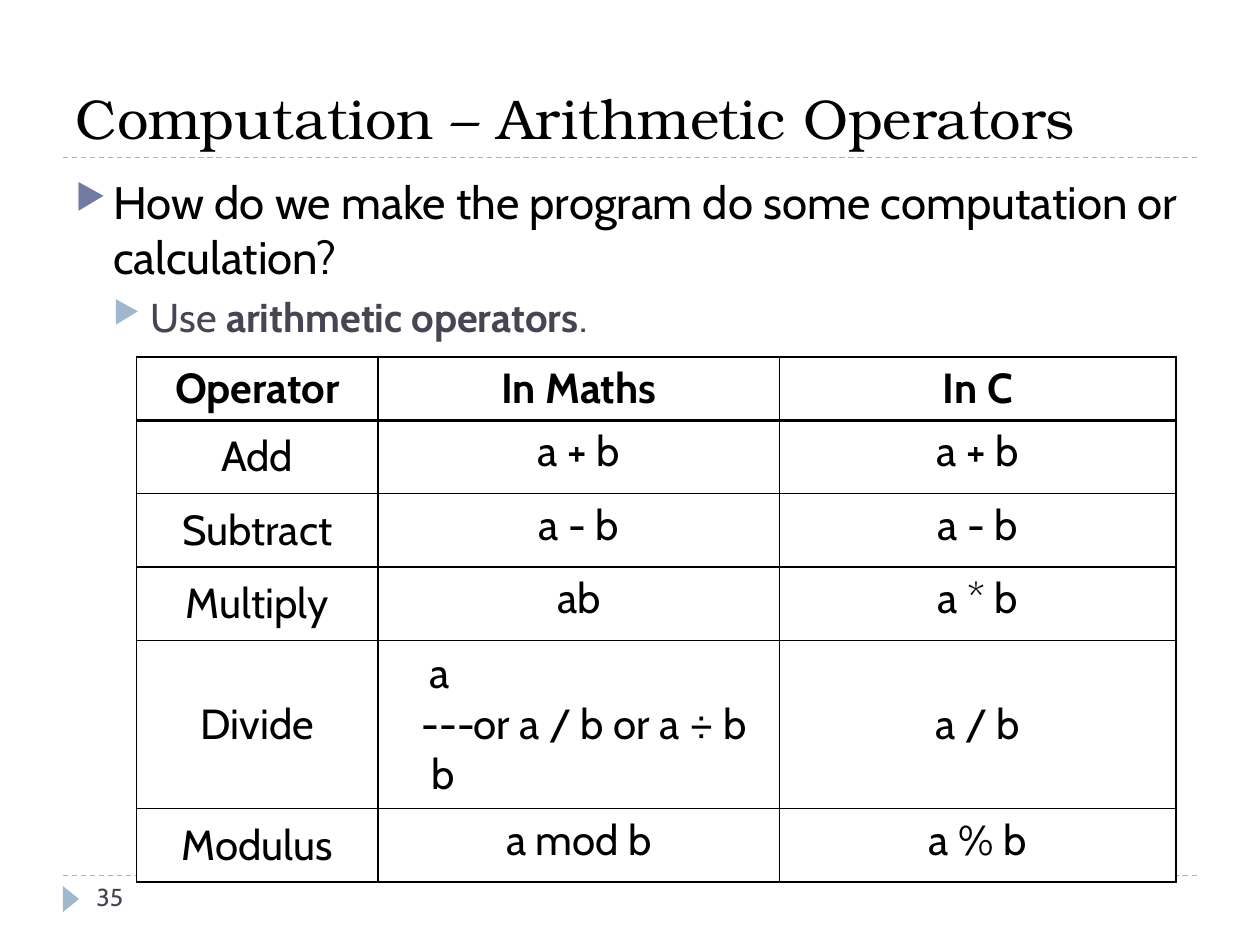
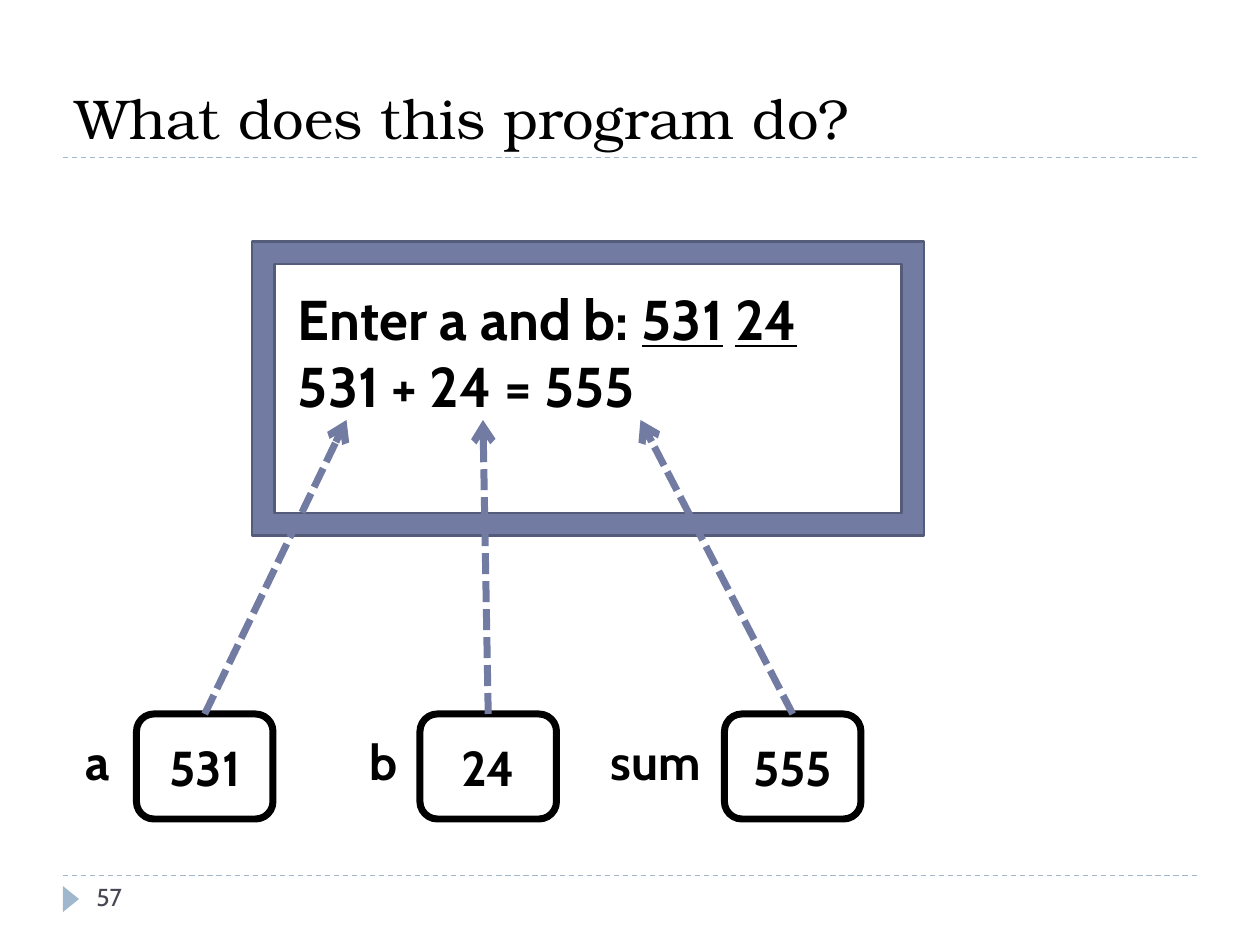
from lxml.etree import SubElement
from pptx import Presentation
from pptx.dml.color import RGBColor
from pptx.enum.dml import MSO_LINE as Dash
from pptx.enum.shapes import MSO_CONNECTOR as Link, MSO_SHAPE as Preset
from pptx.enum.text import MSO_ANCHOR as Anchor, PP_ALIGN as Align
from pptx.oxml.ns import qn
from pptx.util import Emu, Inches, Pt

CELL = Inches(1) // 12
COLUMNS, ROWS = 120, 90
BLACK, WHITE, SLATE, INDIGO, NAVY, SKY = "000000", "FFFFFF", "464653", "727CA3", "545C79", "9FB8CD"


def color(code):
    return RGBColor.from_string(code)


def cells(*counts):
    return [Emu(round(count * CELL)) for count in counts]


class Deck:
    """Builds slides on a grid of twelve cells to the inch."""

    def __init__(self):
        self.deck = Presentation()
        self.deck.slide_width, self.deck.slide_height = cells(COLUMNS, ROWS)
        self.slide = None
        self.body_font, self.title_font = "Cabin", "TeX Gyre Bonum"

    def open_slide(self, heading, number):
        self.slide = self.deck.slides.add_slide(self.deck.slide_layouts[5])
        title = self.slide.shapes.title
        title.left, title.top, title.width, title.height = cells(6, 2, 108, 13)
        title.text_frame.vertical_anchor = Anchor.BOTTOM
        title.text_frame.word_wrap = True
        paragraph = title.text_frame.paragraphs[0]
        paragraph.alignment = Align.LEFT
        self.run(paragraph, heading, 32, font=self.title_font)
        for height in (15, 83.4):
            self.line((6, height), (114, height), SKY, 0.75, Dash.DASH)
        self.shape(Preset.ISOSCELES_TRIANGLE, (5.5, 84.85, 2.5, 1.55), fill=SKY).rotation = 90
        self.text((8, 83.4, 26, 4.8), [[(str(number), {})]], 14, Anchor.TOP, ink=SLATE)

    def run(self, paragraph, words, size, ink=BLACK, bold=False, underline=False, font=None):
        run = paragraph.add_run()
        run.text = words
        run.font.name = font or self.body_font
        run.font.size = Pt(size)
        run.font.bold = bold
        run.font.underline = underline
        run.font.color.rgb = color(ink)

    def bullet(self, paragraph, indent, ink):
        props = paragraph._p.get_or_add_pPr()
        props.set("marL", str(Inches(indent)))
        props.set("indent", str(-Inches(0.3)))
        tint = SubElement(props, qn("a:buClr"))
        SubElement(tint, qn("a:srgbClr"), val=ink)
        SubElement(props, qn("a:buSzPct"), val="76000")
        SubElement(props, qn("a:buChar"), char="▶")

    def text(self, area, lines, size, anchor=Anchor.MIDDLE, **style):
        frame = self.slide.shapes.add_textbox(*cells(*area)).text_frame
        frame.word_wrap = True
        frame.vertical_anchor = anchor
        for index, line in enumerate(lines):
            paragraph = frame.add_paragraph() if index else frame.paragraphs[0]
            for words, change in line:
                self.run(paragraph, words, **{"size": size, **style, **change})
        return frame

    def shape(self, preset, area, fill=None, edge=None, weight=0):
        shape = self.slide.shapes.add_shape(preset, *cells(*area))
        shape.shadow.inherit = False
        if fill:
            shape.fill.solid()
            shape.fill.fore_color.rgb = color(fill)
        else:
            shape.fill.background()
        if edge:
            shape.line.color.rgb = color(edge)
            shape.line.width = Pt(weight)
        else:
            shape.line.fill.background()
        return shape

    def line(self, start, end, ink, weight, dash, source=None):
        line = self.slide.shapes.add_connector(Link.STRAIGHT, *cells(*start, *end))
        line.line.color.rgb = color(ink)
        line.line.width = Pt(weight)
        line.line.dash_style = dash
        if source is not None:
            line.begin_connect(source, 0)
            SubElement(line.line._ln, qn("a:tailEnd"), type="arrow")
        SubElement(line._element.spPr, qn("a:effectLst"))

    def variable(self, name, value, label_area, box_area, target):
        left, top, width, _ = box_area
        box = self.shape(Preset.ROUNDED_RECTANGLE, box_area, edge=BLACK, weight=4)
        box.text_frame.vertical_anchor = Anchor.MIDDLE
        paragraph = box.text_frame.paragraphs[0]
        paragraph.alignment = Align.CENTER
        self.run(paragraph, value, 28, bold=True)
        self.text(label_area, [[(name, {})]], 28, bold=True)
        self.line((left + width / 2, top), target, INDIGO, 4, Dash.SQUARE_DOT, box)

    def borders(self, cell, bottom):
        props = cell._tc.get_or_add_tcPr()
        for side, weight in (("L", 1), ("R", 1), ("T", 1), ("B", bottom)):
            edge = SubElement(props, qn(f"a:ln{side}"), w=str(Pt(weight)))
            SubElement(SubElement(edge, qn("a:solidFill")), qn("a:srgbClr"), val=BLACK)

    def table(self, corner, widths, heights, content, middle_row):
        area = (*corner, sum(widths), sum(heights))
        table = self.slide.shapes.add_table(len(heights), len(widths), *cells(*area)).table
        table.first_row = table.horz_banding = False
        for column, width in zip(table.columns, cells(*widths)):
            column.width = width
        for row, height in zip(table.rows, cells(*heights)):
            row.height = height
        for r, entries in enumerate(content):
            for c, words in enumerate(entries):
                cell = table.cell(r, c)
                self.borders(cell, 1 if r else 2)
                cell.fill.solid()
                cell.fill.fore_color.rgb = color(WHITE)
                centred = r == middle_row or (r and c == 0)
                cell.vertical_anchor = Anchor.MIDDLE if centred else Anchor.TOP
                paragraph = cell.text_frame.paragraphs[0]
                paragraph.alignment = Align.CENTER
                self.run(paragraph, words, 24, bold=r == 0)
        return table


def operators_slide(deck):
    deck.open_slide("Computation – Arithmetic Operators", 35)
    soft = {"size": 23, "ink": SLATE}
    question, answer = deck.text((6, 16, 108, 64.8), [
        [("How do we make the program do some computation or calculation?", {})],
        [("Use ", soft), ("arithmetic operators", {**soft, "bold": True}), (".", soft)],
    ], 26, Anchor.TOP).paragraphs
    answer.space_before = Pt(5)
    answer.level = 1
    deck.bullet(question, 0.3, INDIGO)
    deck.bullet(answer, 0.6, SKY)
    divide = 4
    operators = deck.table((13, 34), (23, 38.25, 37.75), (6, 7, 7, 7, 16, 7), [
        ("Operator", "In Maths", "In C"),
        ("Add", "a + b", "a + b"),
        ("Subtract", "a - b", "a - b"),
        ("Multiply", "ab", "a * b"),
        ("Divide", "or a / b or a ÷ b", "a / b"),
        ("Modulus", "a mod b", "a % b"),
    ], divide)
    operators.cell(divide, 1).margin_left = Inches(0.6)
    deck.text((39, 61, 8, 15.7),
              [[(" ", {"size": 20}), ("a", {})], [("---", {})], [(" b", {})]], 24, Anchor.TOP)


def program_slide(deck):
    deck.open_slide("What does this program do?", 57)
    typed = {"underline": True}
    deck.text((26, 24, 60, 19), [
        [(" Enter a and b: ", {}), ("531", typed), (" ", {}), ("24", typed)],
        [(" 531 + 24 = 555", {})],
    ], 32, bold=True)
    screen = deck.shape(Preset.FRAME, (24, 23, 64, 28), INDIGO, NAVY, 1.5)
    screen.adjustments[0] = 0.077
    for name, value, label, label_width, box, target in (
        ("a", "531", 7, 10, 13, 33),
        ("b", "24", 34, 10, 40, 46),
        ("sum", "555", 57, 13, 69, 61),
    ):
        deck.variable(name, value, (label, 69, label_width, 7), (box, 68, 13, 10), (target, 40))


def main():
    deck = Deck()
    operators_slide(deck)
    program_slide(deck)
    deck.deck.save("out.pptx")


if __name__ == "__main__":
    main()
